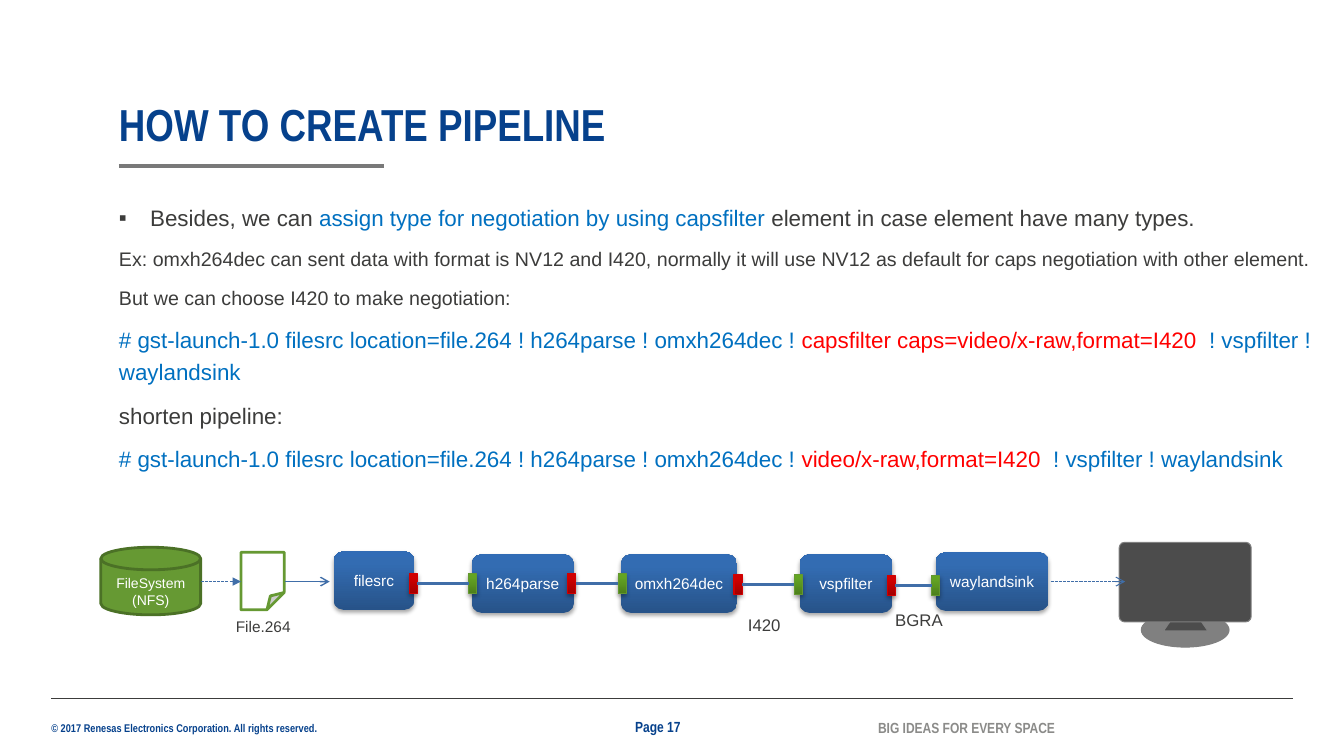
from copy import deepcopy

from lxml import etree
from pptx import Presentation
from pptx import util as u
from pptx.dml.color import RGBColor
from pptx.enum import dml, shapes, text
from pptx.oxml.ns import qn

PX = 9144
S = shapes.MSO_SHAPE
A = text.MSO_ANCHOR
NAVY, DARK, BLUE, RED, WHITE = "06418C", "3C3C3B", "0070C0", "FF0000", "FFFFFF"
LINK, GREY, SCREEN, GREEN = "406EA8", "808080", "4C4C4C", "669933"
BLOCK_FILL = ("275389", "336CB2", "316CB6")
SOURCE_FILL = ("A00000", "D00000", "D10000")
SINK_FILL = ("4C7E1B", "63A323", "63A620")


def rgb(value):
    return RGBColor.from_string(value)


def sub(parent, tag, **attrs):
    return etree.SubElement(parent, qn(tag), attrs)


class Deck:
    """Hold the slide, its scale and its text style."""

    def __init__(self, width, height):
        self.prs = Presentation()
        self.prs.slide_width, self.prs.slide_height = width * PX, height * PX
        self.s = self.prs.slides.add_slide(self.prs.slide_layouts[1])

    def font(self, r, size, color, name="Arial", bold=False):
        r.font.size, r.font.name, r.font.bold = u.Pt(size), name, bold
        r.font.color.rgb = rgb(color)

    def frame(self, tf, anchor, inset, wrap):
        tf.auto_size = text.MSO_AUTO_SIZE.NONE
        tf.word_wrap, tf.vertical_anchor = wrap, anchor
        tf.margin_left = tf.margin_right = inset * PX
        tf.margin_top = tf.margin_bottom = inset // 2 * PX

    def place(self, sp, box):
        sp.left, sp.top, sp.width, sp.height = (n * PX for n in box)

    def title(self, box, words):
        sp = self.s.shapes.title
        self.place(sp, box)
        tf = sp.text_frame
        self.frame(tf, A.BOTTOM, 0, True)
        tf.text = words
        p = tf.paragraphs[0]
        p.alignment, p.line_spacing = text.PP_ALIGN.LEFT, 0.9
        self.font(p.runs[0], 32, NAVY, "Arial Narrow", True)

    def body(self, box, paragraphs):
        sp = self.s.placeholders[1]
        self.place(sp, box)
        tf = sp.text_frame
        self.frame(tf, A.TOP, 0, True)
        for i, (bullet, size, runs) in enumerate(paragraphs):
            p = tf.paragraphs[0] if i == 0 else tf.add_paragraph()
            p.line_spacing, p.space_before, p.space_after = 1.2, u.Pt(0), u.Pt(8)
            pPr = p._p.get_or_add_pPr()
            indent = 31 * PX if bullet else 0
            pPr.set("marL", str(indent))
            pPr.set("indent", str(-indent))
            if bullet:
                sub(pPr, "a:buChar", char=bullet)
            else:
                sub(pPr, "a:buNone")
            for words, color in runs:
                r = p.add_run()
                r.text = words
                self.font(r, size, color)

    def label(self, box, words, size, color=DARK, name="Arial", bold=False,
              anchor=A.TOP, inset=10, wrap=False):
        sp = self.s.shapes.add_textbox(*(n * PX for n in box))
        tf = sp.text_frame
        self.frame(tf, anchor, inset, wrap)
        tf.text = words
        self.font(tf.paragraphs[0].runs[0], size, color, name, bold)

    def paint(self, sp, fill, line=None, width=0.75):
        if isinstance(fill, str):
            sp.fill.solid()
            sp.fill.fore_color.rgb = rgb(fill)
        else:
            sp.fill.gradient()
            sp.fill.gradient_angle = 90
            stops = sp._element.spPr.find(".//" + qn("a:gsLst"))
            stops.append(deepcopy(stops[-1]))
            for stop, at, color in zip(sp.fill.gradient_stops, (0, 0.8, 1), fill):
                stop.position, stop.color.rgb = at, rgb(color)
        if line:
            sp.line.color.rgb, sp.line.width = rgb(line), u.Pt(width)
        else:
            sp.line.fill.background()
        sp.shadow.inherit = False

    def shape(self, kind, box, fill, line=None, width=0.75, adj=None):
        sp = self.s.shapes.add_shape(kind, *(n * PX for n in box))
        if adj is not None:
            guides = sp._element.spPr.find(".//" + qn("a:avLst"))
            sub(guides, "a:gd", name="adj", fmla=f"val {round(adj * 100000)}")
        self.paint(sp, fill, line, width)
        return sp

    def raised(self, kind, box, fill, line=None):
        sp = self.shape(kind, box, fill, line)
        effects = sp._element.spPr.find(qn("a:effectLst"))
        shadow = sub(effects, "a:outerShdw", blurRad="39370", dist="22860",
                     dir="5400000", rotWithShape="0")
        sub(sub(shadow, "a:srgbClr", val="000000"), "a:alpha", val="35000")
        return sp

    def caption(self, sp, words, size, anchor=A.MIDDLE):
        tf = sp.text_frame
        self.frame(tf, anchor, 10, False)
        tf.text = words
        for p in tf.paragraphs:
            p.alignment = text.PP_ALIGN.CENTER
            self.font(p.runs[0], size, WHITE)

    def outline(self, points, fill, line):
        points = [(x * PX, y * PX) for x, y in points]
        builder = self.s.shapes.build_freeform(*points[0])
        builder.add_line_segments(points[1:], close=True)
        self.paint(builder.convert_to_shape(), fill, line)

    def line(self, x1, x2, y, color, width, head=None, dashed=False):
        c = self.s.shapes.add_connector(
            shapes.MSO_CONNECTOR.STRAIGHT, x1 * PX, y * PX, x2 * PX, y * PX)
        c.line.color.rgb, c.line.width = rgb(color), u.Pt(width)
        if dashed:
            c.line.dash_style = dml.MSO_LINE.SQUARE_DOT
        if head:
            sub(c.line._get_or_add_ln(), "a:tailEnd", type=head)
        sub(c._element.spPr, "a:effectLst")


def main():
    d = Deck(1333, 750)
    narrow = dict(name="Arial Narrow", bold=True, inset=0)
    d.label((51, 716, 268, 13),
            "© 2017 Renesas Electronics Corporation. All rights reserved.",
            8, NAVY, **narrow)
    d.line(51, 1282, 693, DARK, 0.5)
    d.line(118, 381, 165, "797979", 3)
    d.label((871, 713, 180, 18), "BIG IDEAS FOR EVERY SPACE", 10.5, "8B8B89",
            anchor=A.MIDDLE, wrap=True, **narrow)
    d.label((630, 712, 73, 18), "Page 17", 10.5, NAVY,
            anchor=A.MIDDLE, wrap=True, **narrow)

    d.title((118, 102, 984, 48), "HOW TO CREATE PIPELINE")
    launch = "# gst-launch-1.0 filesrc location=file.264 ! h264parse ! omxh264dec ! "
    display = "! vspfilter ! waylandsink"
    d.body((118, 197, 1194, 300), [
        ("▪", 16, [("Besides, we can ", DARK),
                   ("assign type for negotiation by using capsfilter ", BLUE),
                   ("element in case element have many types.", DARK)]),
        (None, 14, [("Ex: omxh264dec can sent data with format is NV12 and I420, "
                     "normally it will use NV12 as default for caps negotiation "
                     "with other element.", DARK)]),
        (None, 14, [("But we can choose I420 to make negotiation:", DARK)]),
        (None, 16, [(launch, BLUE),
                    ("capsfilter caps=video/x-raw,format=I420  ", RED),
                    (display, BLUE)]),
        (None, 16, [("shorten pipeline:", DARK)]),
        (None, 16, [(launch, BLUE), ("video/x-raw,format=I420  ", RED),
                    (display, BLUE)]),
    ])

    disk = d.shape(S.FLOWCHART_MAGNETIC_DISK, (100, 543, 99, 67), GREEN, "4B7126", 2)
    d.caption(disk, "FileSystem\n(NFS)", 10, A.TOP)
    d.shape(S.FOLDED_CORNER, (239, 548, 43, 57), WHITE, GREEN, 2, 0.4)
    d.label((224, 607, 75, 29), "File.264", 11)

    for name, x, y, width in (("filesrc", 331, 547, 80), ("h264parse", 468, 550, 101),
                              ("omxh264dec", 616, 550, 115), ("vspfilter", 793, 550, 92),
                              ("waylandsink", 928, 548, 112)):
        block = d.raised(S.ROUNDED_RECTANGLE, (x, y, width, 58), BLOCK_FILL)
        d.caption(block, name, 11)
    for source, sink, y in ((406, 465, 569), (563, 613, 569),
                            (728, 788, 570), (880, 924, 571)):
        d.raised(S.RECTANGLE, (source, y, 8, 20), SOURCE_FILL, "D20000")
        d.raised(S.RECTANGLE, (sink, y, 8, 20), SINK_FILL, "64982F")
        d.line(source + 8, sink, y + 10, LINK, 2)

    d.shape(S.OVAL, (1132, 608, 87, 34), GREY, GREY)
    d.outline([(1198, 626), (1187, 610), (1165, 610), (1154, 626)], SCREEN, GREY)
    d.shape(S.ROUNDED_RECTANGLE, (1110, 538, 131, 79), SCREEN, GREY, adj=0.07)
    d.line(199, 239, 577, LINK, 0.75, "triangle", True)
    d.line(283, 327, 577, LINK, 1, "arrow")
    d.line(1042, 1116, 577, LINK, 0.75, "arrow", True)
    d.label((732, 605, 53, 30), "I420", 12)
    d.label((878, 600, 68, 30), "BGRA", 12)
    d.prs.save("out.pptx")


if __name__ == "__main__":
    main()
